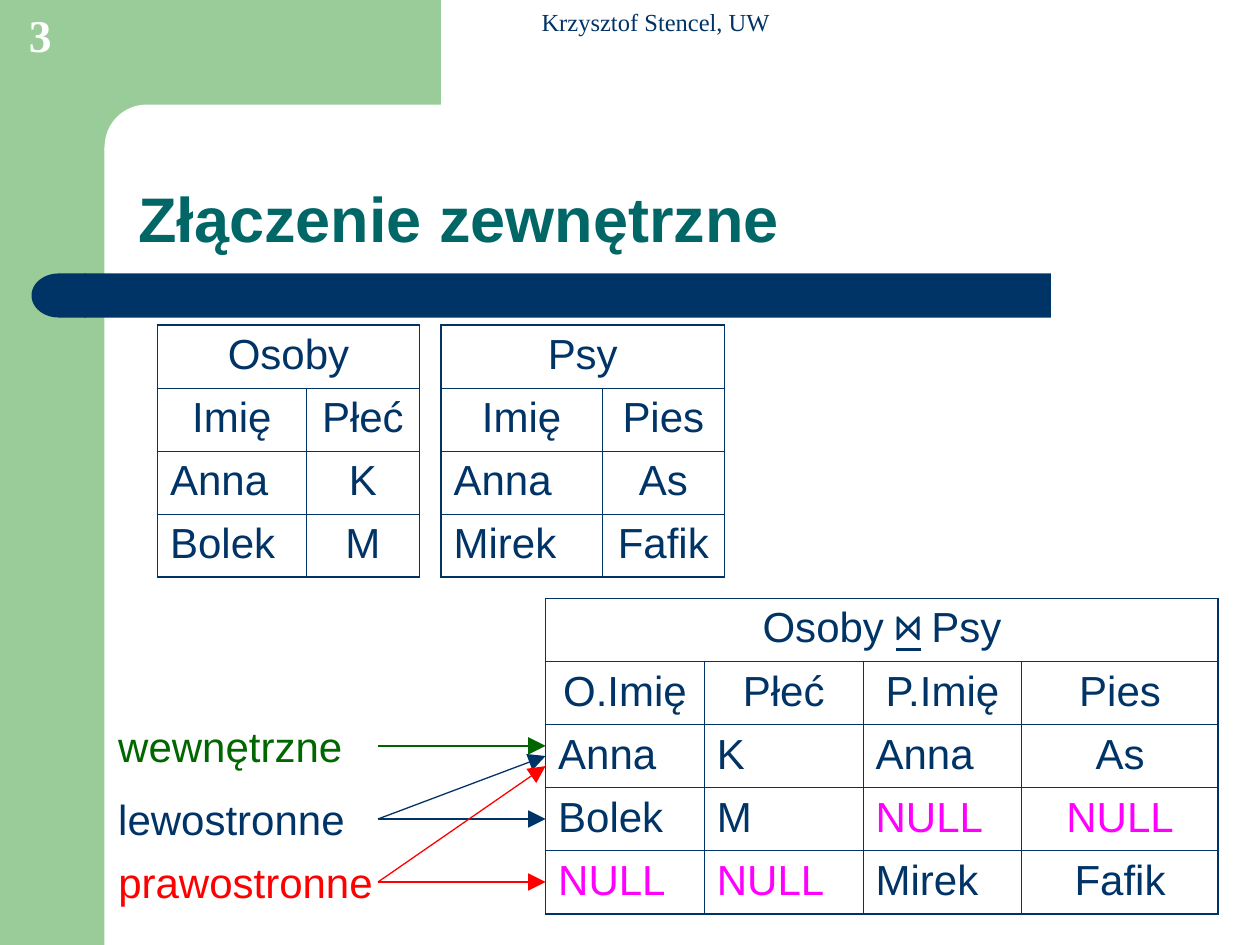
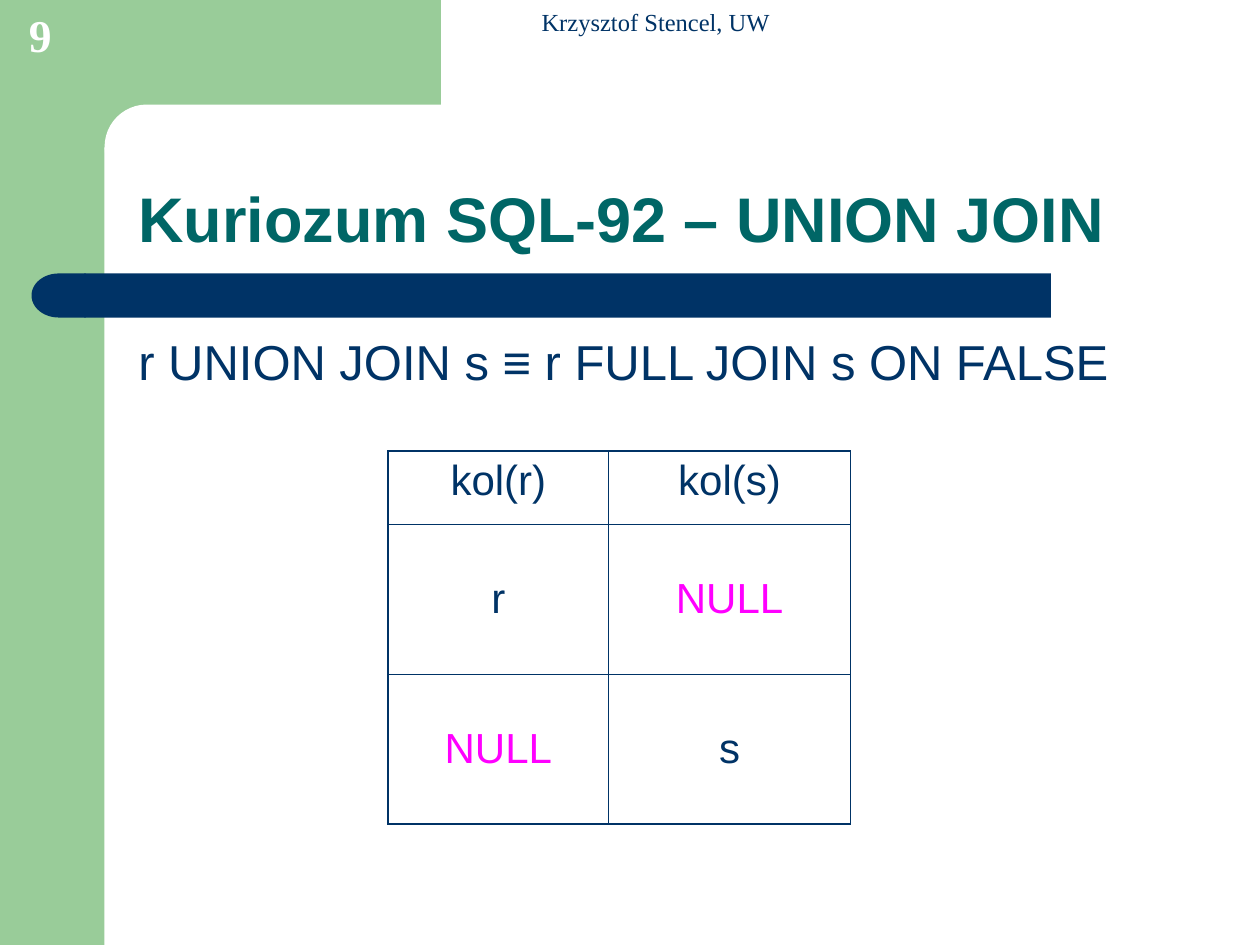
from dataclasses import dataclass
from typing import Optional, Union

from lxml.etree import SubElement
from pptx import Presentation
from pptx.dml.color import RGBColor
from pptx.enum.shapes import MSO_CONNECTOR, MSO_SHAPE
from pptx.enum.text import MSO_ANCHOR, MSO_AUTO_SIZE, PP_ALIGN
from pptx.oxml import parse_xml
from pptx.oxml.ns import nsdecls, qn
from pptx.util import Inches, Pt


@dataclass(frozen=True)
class Theme:
    navy: str = "003366"
    teal: str = "006666"
    sage: str = "99CC99"
    white: str = "FFFFFF"
    green: str = "006600"
    red: str = "FF0000"
    magenta: str = "FF00FF"
    sans: str = "Arial"
    serif: str = "Times New Roman"
    mono: str = "Courier New"
    title_pt: int = 36
    body_pt: int = 28
    cell_pt: int = 24
    number_pt: int = 26
    footer_pt: int = 14
    arrow_pt: float = 0.75
    outer_pt: float = 1.08
    inner_pt: float = 0.45


THEME = Theme()


@dataclass(frozen=True)
class Run:
    text: str
    size: int = THEME.cell_pt
    color: str = THEME.navy
    font: str = THEME.sans
    bold: bool = False
    underline: bool = False


@dataclass(frozen=True)
class Box:
    left: float
    top: float
    width: float
    height: float

    def emu(self) -> tuple:
        return tuple(Inches(v) for v in (self.left, self.top, self.width, self.height))


@dataclass(frozen=True)
class Band:
    kind: MSO_SHAPE
    box: Box
    color: str
    rounding: Optional[float] = None
    rotation: int = 0


Cell = Union[str, tuple]


@dataclass(frozen=True)
class Grid:
    left: float
    top: float
    cols: tuple
    row_heights: tuple
    rows: tuple
    title: Optional[Cell] = None
    left_aligned: int = 0
    body_anchor: MSO_ANCHOR = MSO_ANCHOR.TOP


@dataclass(frozen=True)
class JoinLabel:
    text: str
    color: str
    box: Box
    start_y: float
    end_ys: tuple


BANDS = (
    Band(MSO_SHAPE.RECTANGLE, Box(0, 0, 0.83, 7.5), THEME.sage),
    Band(MSO_SHAPE.RECTANGLE, Box(0.75, 0, 2.75, 1.17), THEME.sage),
    Band(MSO_SHAPE.ROUNDED_RECTANGLE, Box(0.83, 0.83, 5.58, 0.67), THEME.white, 0.5),
    Band(MSO_SHAPE.ROUNDED_RECTANGLE, Box(0.67, 2.17, 7.67, 0.35), THEME.navy, 0),
    Band(MSO_SHAPE.FLOWCHART_DELAY, Box(0.25, 2.17, 0.43, 0.35), THEME.navy, rotation=180),
)

ARROW_LEFT, ARROW_RIGHT = 3, 4.33

OUTER_JOIN_GRIDS = (
    Grid(ARROW_RIGHT, 4.75, (1.26, 1.26, 1.26, 1.56), (0.5,) * 5, (
        ("O.Imię", "Płeć", "P.Imię", "Pies"),
        ("Anna", "K", "Anna", "As"),
        ("Bolek", "M", "NULL", "NULL"),
        ("NULL", "NULL", "Mirek", "Fafik"),
    ), title=(
        Run("Osoby "),
        Run("⋈", font=THEME.mono, underline=True),
        Run(" ", font=THEME.serif),
        Run("Psy"),
    ), left_aligned=3),
    Grid(3.5, 2.58, (1.28, 0.97), (0.5,) * 4,
         (("Imię", "Pies"), ("Anna", "As"), ("Mirek", "Fafik")),
         title="Psy", left_aligned=1),
    Grid(1.25, 2.58, (1.18, 0.9), (0.5,) * 4,
         (("Imię", "Płeć"), ("Anna", "K"), ("Bolek", "M")),
         title="Osoby", left_aligned=1),
)

UNION_JOIN_GRID = Grid(3.08, 3.58, (1.75, 1.92), (0.58, 1.19, 1.19),
                       (("kol(r)", "kol(s)"), ("r", "NULL"), ("NULL", "s")),
                       body_anchor=MSO_ANCHOR.MIDDLE)

JOIN_LABELS = (
    JoinLabel("lewostronne", THEME.navy, Box(0.84, 6.25, 2.03, 0.5), 6.5, (6, 6.5)),
    JoinLabel("prawostronne", THEME.red, Box(0.84, 6.75, 2.25, 0.5), 7, (7, 6.08)),
    JoinLabel("wewnętrzne", THEME.green, Box(0.84, 5.67, 2, 0.5), 5.92, (5.92,)),
)


def add_runs(p, runs: tuple) -> None:
    for run in runs:
        r = p.add_run()
        r.text = run.text
        r.font.name = run.font
        r.font.size = Pt(run.size)
        r.font.bold = run.bold
        r.font.underline = run.underline
        r.font.color.rgb = RGBColor.from_string(run.color)


def add_text(s, box: Box, run: Run, anchor: MSO_ANCHOR = MSO_ANCHOR.TOP,
             wrap: bool = True, margin: float = 0, indent: float = 0):
    tf = s.shapes.add_textbox(*box.emu()).text_frame
    tf.word_wrap = wrap
    tf.auto_size = MSO_AUTO_SIZE.NONE if wrap else MSO_AUTO_SIZE.SHAPE_TO_FIT_TEXT
    tf.vertical_anchor = anchor
    p = tf.paragraphs[0]
    if margin:
        pPr = p._p.get_or_add_pPr()
        pPr.set("marL", str(Inches(margin)))
        pPr.set("indent", str(Inches(indent)))
    add_runs(p, (run,))
    return p


def add_band(s, band: Band) -> None:
    sp = s.shapes.add_shape(band.kind, *band.box.emu())
    sp.shadow.inherit = False
    sp.fill.solid()
    sp.fill.fore_color.rgb = RGBColor.from_string(band.color)
    sp.line.fill.background()
    sp.rotation = band.rotation
    if band.rounding is not None:
        sp.adjustments[0] = band.rounding


def add_arrow(s, start_y: float, end_y: float, color: str) -> None:
    line = s.shapes.add_connector(MSO_CONNECTOR.STRAIGHT, Inches(ARROW_LEFT), Inches(start_y),
                                  Inches(ARROW_RIGHT), Inches(end_y))
    line.line.color.rgb = RGBColor.from_string(color)
    line.line.width = Pt(THEME.arrow_pt)
    SubElement(line.line._get_or_add_ln(), qn("a:tailEnd"), type="triangle", w="lg", len="lg")
    SubElement(line._element.spPr, qn("a:effectLst"))


def set_borders(cell, outer_sides: dict) -> None:
    tcPr = cell._tc.get_or_add_tcPr()
    for i, (side, outer) in enumerate(outer_sides.items()):
        width = Pt(THEME.outer_pt if outer else THEME.inner_pt)
        tcPr.insert(i, parse_xml(
            f'<a:ln{side} {nsdecls("a")} w="{width}"><a:solidFill>'
            f'<a:srgbClr val="{THEME.navy}"/></a:solidFill></a:ln{side}>'))


def fill_cell(cell, content: Cell, align: PP_ALIGN) -> None:
    if isinstance(content, str):
        color = THEME.magenta if content == "NULL" else THEME.navy
        content = (Run(content, color=color),)
    p = cell.text_frame.paragraphs[0]
    p.alignment = align
    p.space_before = Pt(6)
    add_runs(p, content)


def add_grid(s, grid: Grid) -> None:
    n_rows, n_cols = len(grid.row_heights), len(grid.cols)
    box = Box(grid.left, grid.top, sum(grid.cols), sum(grid.row_heights))
    table = s.shapes.add_table(n_rows, n_cols, *box.emu()).table
    table.first_row = table.horz_banding = False
    for col, width in zip(table.columns, grid.cols):
        col.width = Inches(width)
    for row, height in zip(table.rows, grid.row_heights):
        row.height = Inches(height)
    rows = grid.rows
    if grid.title:
        table.cell(0, 0).merge(table.cell(0, n_cols - 1))
        rows = ((grid.title,),) + rows
    header_rows = 2 if grid.title else 1
    for i, contents in enumerate(rows):
        for j, content in enumerate(contents):
            cell = table.cell(i, j)
            cell.fill.background()
            is_body = i >= header_rows
            cell.vertical_anchor = grid.body_anchor if is_body else MSO_ANCHOR.TOP
            to_left = is_body and j < grid.left_aligned
            fill_cell(cell, content, PP_ALIGN.LEFT if to_left else PP_ALIGN.CENTER)
            set_borders(cell, {"L": j == 0, "R": j + cell.span_width == n_cols,
                               "T": i == 0, "B": i == n_rows - 1})


def add_frame(prs, title: str, title_top: float):
    s = prs.slides.add_slide(prs.slide_layouts[6])
    for band in BANDS:
        add_band(s, band)
    p = add_text(s, Box(1, title_top, 8.75, 2.08 - title_top),
                 Run(title, THEME.title_pt, THEME.teal, bold=True), MSO_ANCHOR.BOTTOM)
    p.line_spacing = 0.9
    return s


def add_footer(s, number: int) -> None:
    p = add_text(s, Box(3.5, 0, 3.17, 0.34),
                 Run("Krzysztof Stencel, UW", THEME.footer_pt, font=THEME.serif),
                 MSO_ANCHOR.BOTTOM, margin=0.24)
    p.alignment = PP_ALIGN.CENTER
    p = add_text(s, Box(0, 0, 0.64, 0.54),
                 Run(str(number), THEME.number_pt, THEME.white, THEME.serif, bold=True),
                 MSO_ANCHOR.BOTTOM)
    p.alignment = PP_ALIGN.CENTER


def build_outer_join(prs) -> None:
    s = add_frame(prs, "Złączenie zewnętrzne", 1.42)
    for grid in OUTER_JOIN_GRIDS:
        add_grid(s, grid)
    for label in JOIN_LABELS:
        add_text(s, label.box, Run(label.text, color=label.color), wrap=False)
        for end_y in label.end_ys:
            add_arrow(s, label.start_y, end_y, label.color)
    add_footer(s, 3)


def build_union_join(prs) -> None:
    s = add_frame(prs, "Kuriozum SQL-92 – UNION JOIN", 0.83)
    p = add_text(s, Box(1, 2.58, 8.75, 4.08),
                 Run("r UNION JOIN s ≡ r FULL JOIN s ON FALSE", THEME.body_pt),
                 margin=0.38, indent=-0.38)
    p.space_before = Pt(7)
    add_grid(s, UNION_JOIN_GRID)
    add_footer(s, 9)


def main() -> None:
    prs = Presentation()
    prs.slide_width, prs.slide_height = Inches(10), Inches(7.5)
    build_outer_join(prs)
    build_union_join(prs)
    prs.save("out.pptx")


if __name__ == "__main__":
    main()
